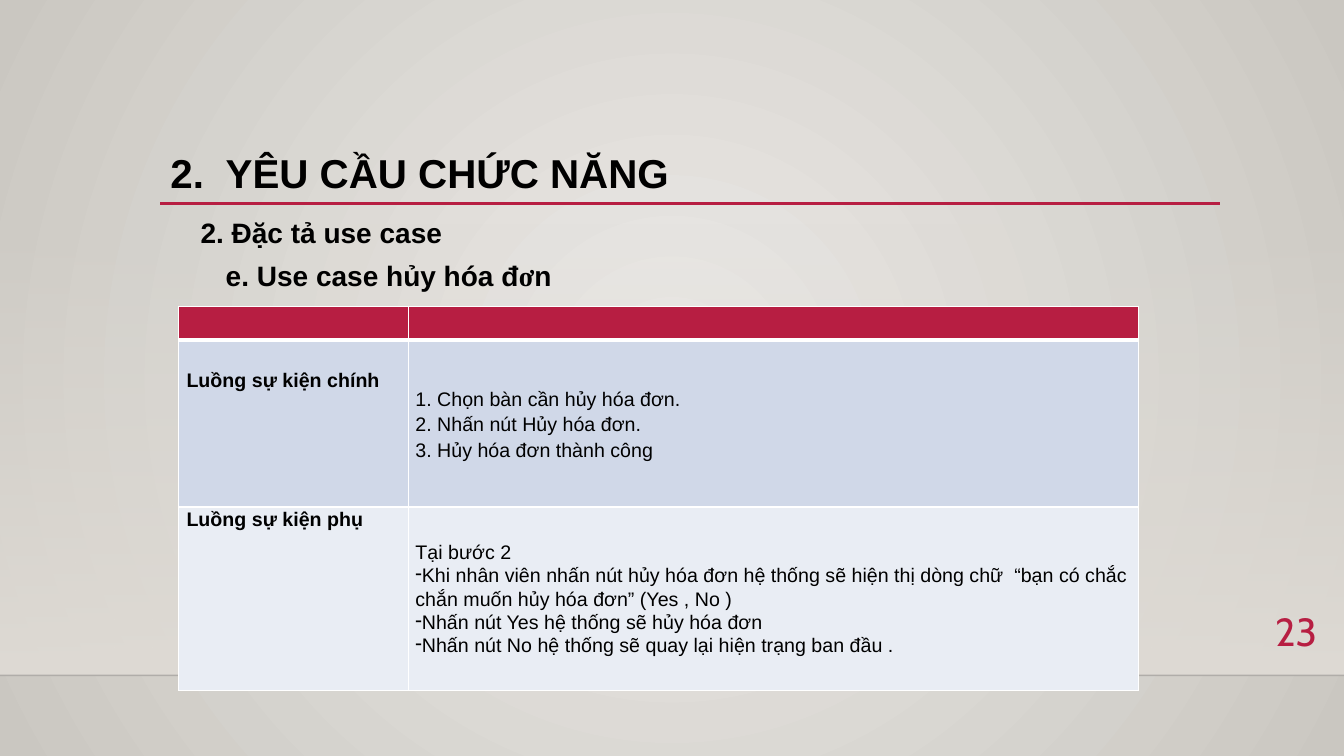
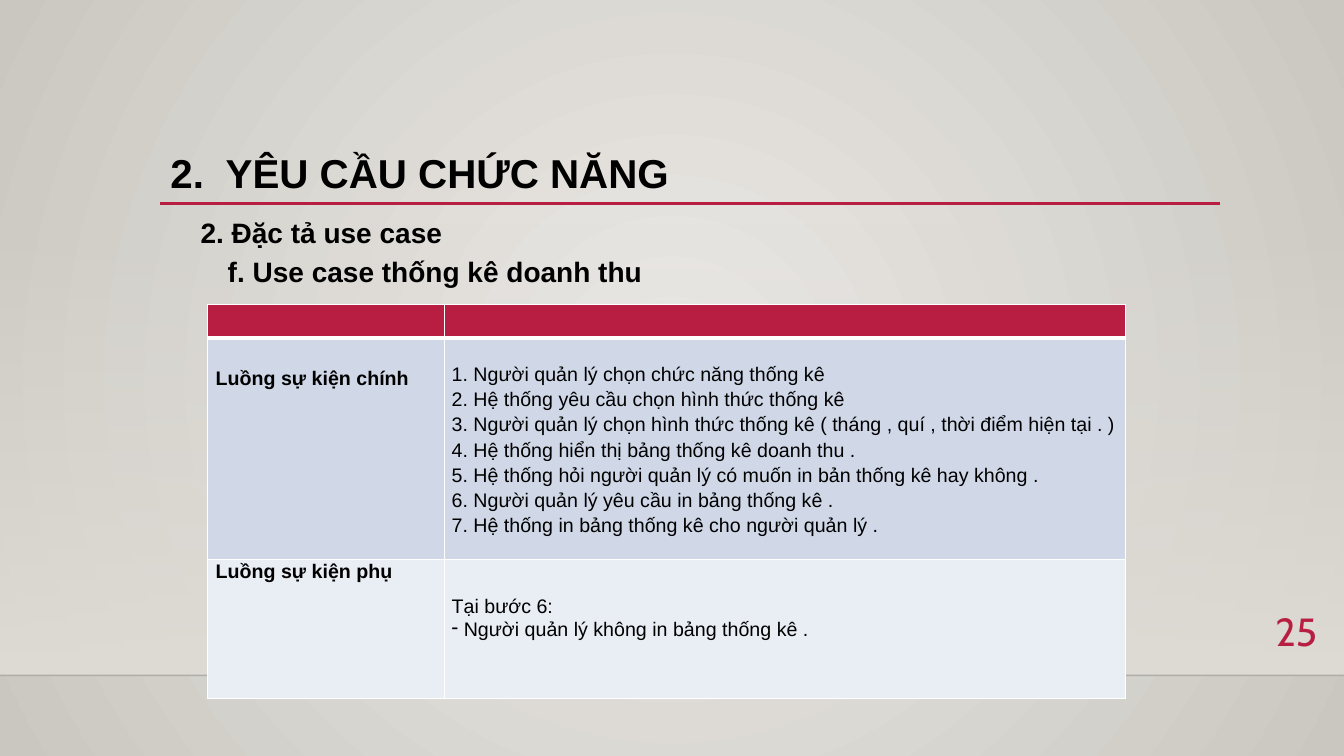
from dataclasses import dataclass

from lxml.etree import SubElement
from pptx import Presentation
from pptx.dml.color import RGBColor
from pptx.enum.shapes import MSO_CONNECTOR, MSO_SHAPE
from pptx.enum.text import MSO_ANCHOR, MSO_AUTO_SIZE, PP_ALIGN
from pptx.oxml.ns import qn
from pptx.util import Inches, Pt

BLACK = RGBColor(0x00, 0x00, 0x00)
WHITE = RGBColor(0xFF, 0xFF, 0xFF)
CRIMSON = RGBColor(0xB7, 0x1E, 0x42)
FLOOR_LINE = RGBColor(0x00, 0x00, 0x01)
BACKGROUND_CENTRE = RGBColor(0xEC, 0xEA, 0xE7)
BACKGROUND_EDGE = RGBColor(0xCA, 0xC7, 0xC1)
WALL = RGBColor(0xDF, 0xDB, 0xD5)
MAIN_ROW = RGBColor(0xD0, 0xD8, 0xE8)
ALTERNATIVE_ROW = RGBColor(0xE9, 0xED, 0xF4)

BODY_FONT = "Arial"
SERIF_FONT = "Times New Roman"
NUMBER_FONT = "Cabin"
TITLE = "2.  YÊU CẦU CHỨC NĂNG"
SECTION = "2. Đặc tả use case"
MAIN_LABEL = "Luồng sự kiện chính"
ALTERNATIVE_LABEL = "Luồng sự kiện phụ"
SLIDE_WIDTH = 13.33
FLOOR_TOP = 6.7


@dataclass
class UseCase:
    """Content and table geometry of one use case slide."""
    number: str
    heading: list
    heading_at: tuple
    table_at: tuple
    columns: tuple
    rows: tuple
    steps: list
    condition: str
    alternatives: list
    dash_indent: float
    bottom_margin: float


USE_CASES = [
    UseCase(
        number="23",
        heading=[("e. Use case hủy hóa đ", BODY_FONT), ("ơ", SERIF_FONT), ("n", BODY_FONT)],
        heading_at=(2.14, 2.52),
        table_at=(1.77, 3.04),
        columns=(2.28, 7.24),
        rows=(0.33, 1.66, 1.82),
        steps=[
            "1. Chọn bàn cần hủy hóa đơn.",
            "2. Nhấn nút Hủy hóa đơn.",
            "3. Hủy hóa đơn thành công",
        ],
        condition="Tại bước 2",
        alternatives=[
            "Khi nhân viên nhấn nút hủy hóa đơn hệ thống sẽ hiện thị dòng chữ  "
            "“bạn có chắc chắn muốn hủy hóa đơn” (Yes , No )",
            "Nhấn nút Yes hệ thống sẽ hủy hóa đơn",
            "Nhấn nút No hệ thống sẽ quay lại hiện trạng ban đầu .",
        ],
        dash_indent=0,
        bottom_margin=0,
    ),
    UseCase(
        number="25",
        heading=[("f. Use case thống kê doanh thu", BODY_FONT)],
        heading_at=(2.16, 2.48),
        table_at=(2.06, 3.02),
        columns=(2.35, 6.75),
        rows=(0.33, 2.2, 1.38),
        steps=[
            "1. Người quản lý chọn chức năng thống kê",
            "2. Hệ thống yêu cầu chọn hình thức thống kê",
            "3. Người quản lý chọn hình thức thống kê ( tháng , quí , thời điểm hiện tại . )",
            "4. Hệ thống hiển thị bảng thống kê doanh thu .",
            "5. Hệ thống hỏi người quản lý có muốn in bản thống kê hay không .",
            "6. Người quản lý yêu cầu in bảng thống kê .",
            "7. Hệ thống in bảng thống kê cho người quản lý .",
        ],
        condition="Tại bước 6:",
        alternatives=["Người quản lý không in bảng thống kê ."],
        dash_indent=0.12,
        bottom_margin=0.23,
    ),
]


def format_font(font, size, color=BLACK, bold=False, name=BODY_FONT):
    """Apply the font settings of a run."""
    font.name, font.size, font.bold = name, Pt(size), bold
    font.color.rgb = color


def set_gradient(fill, first, last):
    """Give a fill a gradient of two colours."""
    fill.gradient()
    for stop, color in zip(fill.gradient_stops, (first, last)):
        stop.color.rgb = color


def set_alpha(element, percent):
    """Make the first colour inside an element transparent."""
    color = next(element.iter(qn("a:srgbClr")))
    SubElement(color, qn("a:alpha"), val=str(percent * 1000))


def set_background(master):
    """Paint the master with a round gradient."""
    set_gradient(master.background.fill, BACKGROUND_CENTRE, BACKGROUND_EDGE)
    gradient = next(master.element.iter(qn("a:gradFill")))
    gradient.remove(gradient.find(qn("a:lin")))
    circle = SubElement(gradient, qn("a:path"), {"path": "circle"})
    SubElement(circle, qn("a:fillToRect"), dict.fromkeys("ltrb", "50000"))


def add_rule(slide, left, right, top, color, width):
    """Draw a horizontal line without shadow."""
    line = slide.shapes.add_connector(
        MSO_CONNECTOR.STRAIGHT, Inches(left), Inches(top), Inches(right), Inches(top))
    line.line.color.rgb = color
    line.line.width = Pt(width)
    SubElement(line.element.spPr, qn("a:effectLst"))
    return line


def add_scenery(slide):
    """Draw the wall, the floor line and the title rule."""
    top = 2.21
    wall = slide.shapes.add_shape(
        MSO_SHAPE.RECTANGLE, 0, Inches(top), Inches(SLIDE_WIDTH), Inches(FLOOR_TOP - top))
    wall.shadow.inherit = False
    wall.line.fill.background()
    set_gradient(wall.fill, WALL, WALL)
    wall.fill.gradient_angle = 270
    set_alpha(wall.element.spPr, 0)
    floor = add_rule(slide, 0, SLIDE_WIDTH, FLOOR_TOP, FLOOR_LINE, 1)
    set_alpha(floor.element.spPr, 20)
    add_rule(slide, 1.59, 12.1, 2.02, CRIMSON, 2.5)


def place_title(slide):
    """Move and format the title placeholder."""
    title = slide.shapes.title
    title.left, title.top = Inches(1.59), Inches(1.45)
    title.width, title.height = Inches(10.5), Inches(0.58)
    frame = title.text_frame
    frame.text = TITLE
    frame.auto_size = MSO_AUTO_SIZE.NONE
    frame.vertical_anchor = MSO_ANCHOR.MIDDLE
    paragraph = frame.paragraphs[0]
    paragraph.alignment = PP_ALIGN.LEFT
    paragraph.line_spacing = 0.9
    format_font(paragraph.runs[0].font, 28.8, bold=True)


def add_text(slide, box, pieces, size, color=BLACK, bold=True, alignment=PP_ALIGN.LEFT):
    """Add one line of text made of pieces with their own fonts."""
    frame = slide.shapes.add_textbox(*map(Inches, box)).text_frame
    frame.word_wrap = True
    paragraph = frame.paragraphs[0]
    paragraph.alignment = alignment
    for text, font_name in pieces:
        run = paragraph.add_run()
        run.text = text
        format_font(run.font, size, color, bold, font_name)


def style_cell(cell, fill, top=1, bottom=1):
    """Set white borders and the fill of a cell."""
    properties = cell._tc.get_or_add_tcPr()
    for side, width in (("L", 1), ("R", 1), ("T", top), ("B", bottom)):
        border = SubElement(properties, qn(f"a:ln{side}"), w=str(Pt(width)))
        solid = SubElement(border, qn("a:solidFill"))
        SubElement(solid, qn("a:srgbClr"), val=str(WHITE))
    cell.fill.solid()
    cell.fill.fore_color.rgb = fill


def fill_cell(cell, lines, spacing, margins, anchor=MSO_ANCHOR.MIDDLE, bold=False):
    """Write one paragraph per line into a cell."""
    cell.margin_left, cell.margin_top, cell.margin_right, cell.margin_bottom = map(Inches, margins)
    cell.vertical_anchor = anchor
    cell.text_frame.text = "\n".join(lines)
    for paragraph in cell.text_frame.paragraphs:
        paragraph.line_spacing = spacing
        for run in paragraph.runs:
            format_font(run.font, 14, bold=bold)


def add_dash(paragraph, indent):
    """Turn a paragraph into a dash bullet."""
    properties = paragraph._p.get_or_add_pPr()
    properties.set("marL", str(Inches(indent)))
    properties.set("indent", str(-Inches(indent)))
    SubElement(properties, qn("a:buChar"), char="-")


def add_flow_table(slide, case):
    """Add the table of main and alternative flows."""
    size = sum(case.columns), sum(case.rows)
    table = slide.shapes.add_table(3, 2, *map(Inches, case.table_at + size)).table
    table.horz_banding = False
    for column, width in zip(table.columns, case.columns):
        column.width = Inches(width)
    for row, height in zip(table.rows, case.rows):
        row.height = Inches(height)
    row_styles = ((CRIMSON, 1, 3), (MAIN_ROW, 3, 1), (ALTERNATIVE_ROW, 1, 1))
    for row, style in zip(table.rows, row_styles):
        for cell in row.cells:
            style_cell(cell, *style)
            cell.margin_top = cell.margin_bottom = 0
    for row, label, top in ((1, MAIN_LABEL, 0.28), (2, ALTERNATIVE_LABEL, 0)):
        fill_cell(table.cell(row, 0), [label], 1.07, (0.08, top, 0, 0), MSO_ANCHOR.TOP, True)
    fill_cell(table.cell(1, 1), case.steps, 1.15, (0.07, 0, 0.07, 0))
    alternative = table.cell(2, 1)
    fill_cell(alternative, [case.condition, *case.alternatives], 1.06,
              (0.07, 0, 0.07, case.bottom_margin))
    for paragraph in alternative.text_frame.paragraphs[1:]:
        add_dash(paragraph, case.dash_indent)


def add_use_case_slide(presentation, case):
    """Build one use case slide."""
    slide = presentation.slides.add_slide(presentation.slide_layouts[5])
    add_scenery(slide)
    place_title(slide)
    add_text(slide, (1.89, 2.09, 3.39, 0.44), [(SECTION, BODY_FONT)], 20)
    add_text(slide, case.heading_at + (4.49, 0.44), case.heading, 20)
    add_flow_table(slide, case)
    add_text(slide, (12.27, 5.98, 0.89, 0.55), [(case.number, NUMBER_FONT)], 28,
             CRIMSON, False, PP_ALIGN.RIGHT)


def main():
    """Build and save the presentation."""
    presentation = Presentation()
    presentation.slide_width, presentation.slide_height = Inches(SLIDE_WIDTH), Inches(7.5)
    set_background(presentation.slide_master)
    for case in USE_CASES:
        add_use_case_slide(presentation, case)
    presentation.save("out.pptx")


if __name__ == "__main__":
    main()
